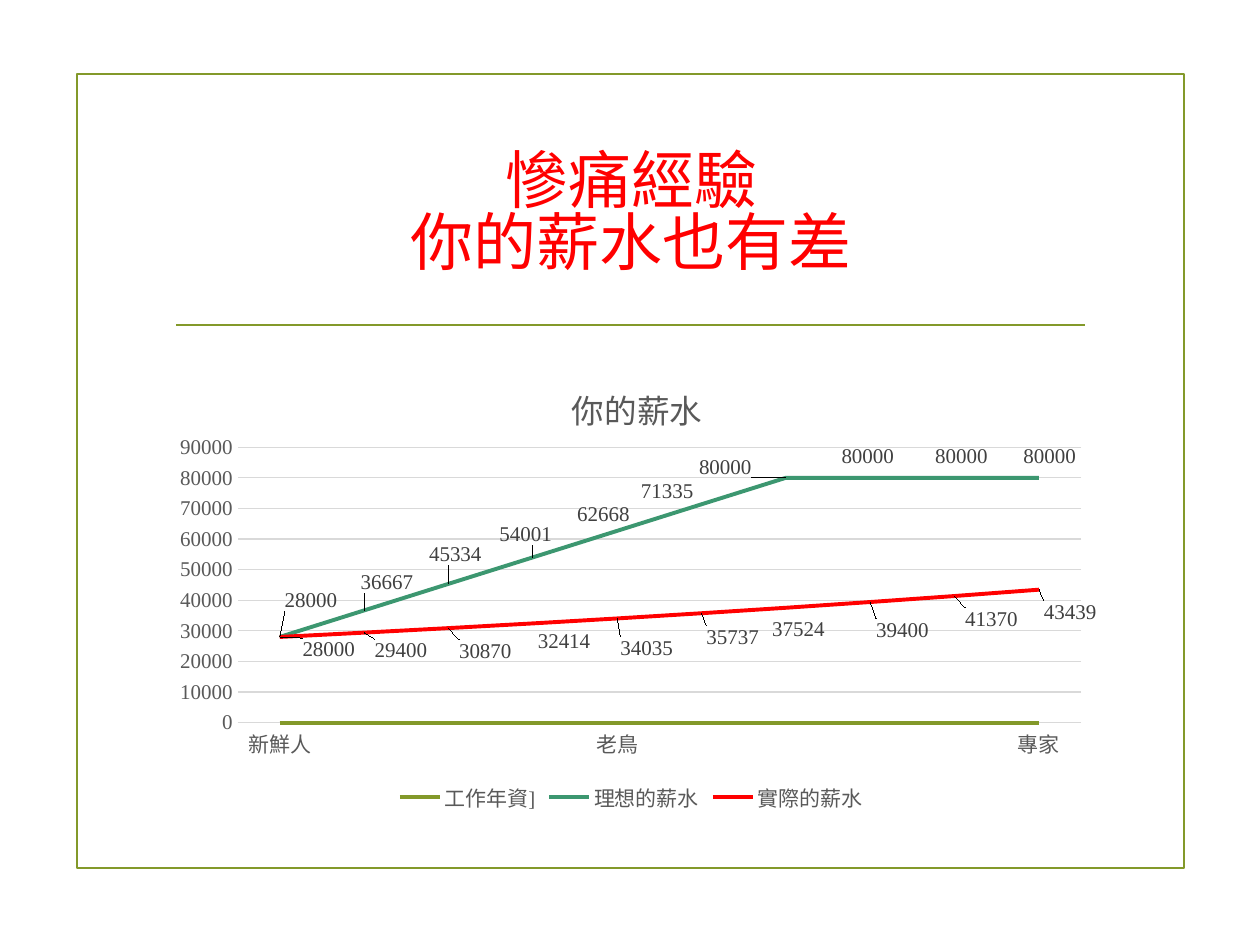
from lxml import etree
from pptx import Presentation
from pptx import util as u
from pptx.chart.data import CategoryChartData
from pptx.dml.color import RGBColor
from pptx.enum import chart as ch, shapes, text
from pptx.oxml import parse_xml
from pptx.oxml.ns import nsdecls, qn

W, H = 10, 7.5
GREEN, TEAL, RED = "83992A", "3C9770", "FF0000"
GREY, DARK, PALE = "595959", "404040", "D9D9D9"
SERIF, CJK = "Times New Roman", "Noto Sans CJK SC"

CATEGORIES = ["新鮮人", "", "", "", "老鳥", "", "", "", "", "專家"]
IDEAL = [28000, 36667, 45334, 54001, 62668, 71335] + [80000] * 4
ACTUAL = [28000, 29400, 30870, 32414, 34035, 35737, 37524, 39400, 41370, 43439]

# Label shifts from the default place, in percent of the chart's width and height
IDEAL_SHIFTS = [(0, -7.7), (-0.9, -6), (-2.6, -6.3), (-4.1, -4.8), (-4.8, -3.4),
                (-7, -2.7), (-9.8, -2.2), (-3.6, -4.5), (-2.6, -4.5), (-2.2, -4.5)]
ACTUAL_SHIFTS = [(1.9, 2.6), (0.6, 3.7), (0.6, 4.8), (0, 3.7), (-0.2, 6.2),
                 (0, 5), (-2, 4.5), (0.1, 5.9), (0.6, 4.8), (0, 4.7)]
SERIES = [("工作年資]", [0] * 10, GREEN, []),
          ("理想的薪水", IDEAL, TEAL, IDEAL_SHIFTS),
          ("實際的薪水", ACTUAL, RED, ACTUAL_SHIFTS)]


def rgb(color):
    return RGBColor.from_string(color)


def set_font(font, color, **values):
    for name, value in values.items():
        setattr(font, name, value)
    font.color.rgb = rgb(color)


def set_line(line, color, width):
    line.color.rgb = rgb(color)
    line.width = u.Pt(width)


def layout(x, y, w=None, h=None, inner=False, edge=True):
    """Manual chart layout, in shares of the chart's size."""
    parts = [("layoutTarget", "inner")] if inner else []
    if edge:
        parts += [("xMode", "edge"), ("yMode", "edge")]
    parts += [(n, v) for n, v in zip("xywh", (x, y, w, h)) if v is not None]
    body = "".join(f'<c:{n} val="{v}"/>' for n, v in parts)
    return parse_xml(f'<c:layout {nsdecls("c")}><c:manualLayout>{body}'
                     '</c:manualLayout></c:layout>')


def add_frame(s):
    sp = s.shapes.add_shape(shapes.MSO_SHAPE.RECTANGLE, u.Inches(0.61), u.Inches(0.59),
                            u.Inches(8.79), u.Inches(6.3))
    sp.shadow.inherit = False
    sp.fill.background()
    set_line(sp.line, GREEN, 1.25)


def add_rule(s, left, right, y):
    line = s.shapes.add_connector(shapes.MSO_CONNECTOR.STRAIGHT, u.Inches(left),
                                  u.Inches(y), u.Inches(right), u.Inches(y))
    set_line(line.line, GREEN, 1.25)
    etree.SubElement(line._element.spPr, qn("a:effectLst"))


def add_title(s, lines):
    tf = s.shapes.add_textbox(u.Inches(1.29), u.Inches(1), u.Inches(7.44),
                              u.Inches(1.43)).text_frame
    tf.word_wrap = True
    tf.vertical_anchor = text.MSO_ANCHOR.MIDDLE
    p = tf.paragraphs[0]
    p.alignment = text.PP_ALIGN.CENTER
    p.line_spacing = 0.82
    for i, line in enumerate(lines):
        if i:
            p.add_line_break()
        r = p.add_run()
        r.text = line
        set_font(r.font, RED, size=u.Pt(36), name=CJK)
        etree.SubElement(r._r.get_or_add_rPr(), qn("a:ea")).set("typeface", CJK)


def add_labels(series, shifts):
    labels = series.data_labels
    labels.show_value = True
    set_font(labels.font, DARK, size=u.Pt(12), name=SERIF)
    flags = "".join(f'<c:{n} val="{int(n == "showVal")}"/>' for n in (
        "showLegendKey", "showVal", "showCatName", "showSerName",
        "showPercent", "showBubbleSize"))
    for i, (dx, dy) in enumerate(shifts):
        label = parse_xml(f'<c:dLbl {nsdecls("c")}><c:idx val="{i}"/>{flags}</c:dLbl>')
        label.insert(1, layout(dx / 100, dy / 100, edge=False))
        labels._element.insert(i, label)


def style_axes(chart):
    for axis in (chart.category_axis, chart.value_axis):
        axis.major_tick_mark = axis.minor_tick_mark = ch.XL_TICK_MARK.NONE
        set_font(axis.tick_labels.font, GREY, size=u.Pt(12), name=SERIF)
    set_line(chart.category_axis.format.line, PALE, 0.75)
    axis = chart.value_axis
    axis.minimum_scale, axis.maximum_scale, axis.major_unit = 0, 90000, 10000
    axis.format.line.fill.background()
    set_line(axis.major_gridlines.format.line, PALE, 0.75)


def add_salary_chart(s):
    data = CategoryChartData()
    data.categories = CATEGORIES
    for name, values, _, _ in SERIES:
        data.add_series(name, values)
    chart = s.shapes.add_chart(ch.XL_CHART_TYPE.LINE, u.Inches(1.29), u.Inches(2.72),
                               u.Inches(7.44), u.Inches(3.77), data).chart
    set_font(chart.font, "000000", size=u.Pt(10), name=SERIF)

    # Chart title
    tf = chart.chart_title.text_frame
    tf.text = "你的薪水"
    set_font(tf.paragraphs[0].runs[0].font, GREY, size=u.Pt(18.6), name=SERIF, bold=False)
    title = chart.chart_title._element
    for old in title.findall(qn("c:layout")):
        title.remove(old)
    title.find(qn("c:tx")).addnext(layout(0.43, 0.07))
    chart.chart_title.include_in_layout = False

    # Legend and axes
    chart.has_legend = True
    chart.legend.position = ch.XL_LEGEND_POSITION.BOTTOM
    chart.legend.include_in_layout = False
    set_font(chart.legend.font, GREY, size=u.Pt(12), name=SERIF)
    style_axes(chart)

    # Plot area and series
    area = chart._chartSpace.chart.plotArea
    for old in area.findall(qn("c:layout")):
        area.remove(old)
    area.insert(0, layout(0.08, 0.22, 0.9, 0.58, inner=True))
    chart.plots[0].vary_by_categories = False
    for series, (_, _, color, shifts) in zip(chart.plots[0].series, SERIES):
        series.smooth = False
        series.marker.style = ch.XL_MARKER_STYLE.NONE
        set_line(series.format.line, color, 2.25)
        if shifts:
            add_labels(series, shifts)


def main():
    prs = Presentation()
    prs.slide_width, prs.slide_height = u.Inches(W), u.Inches(H)
    s = prs.slides.add_slide(prs.slide_layouts[6])
    add_frame(s)
    add_rule(s, 1.4, 8.61, 2.58)
    add_title(s, ["慘痛經驗", "你的薪水也有差"])
    add_salary_chart(s)
    prs.save("out.pptx")


if __name__ == "__main__":
    main()
